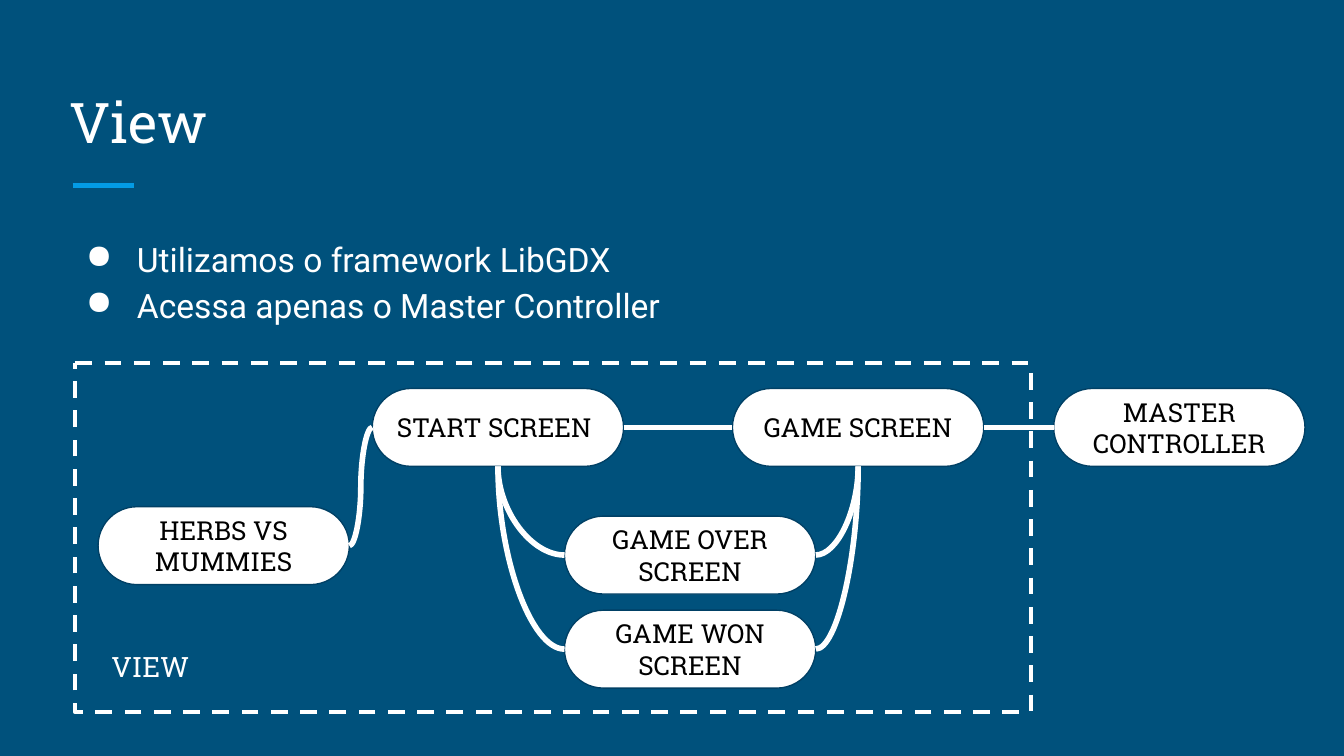
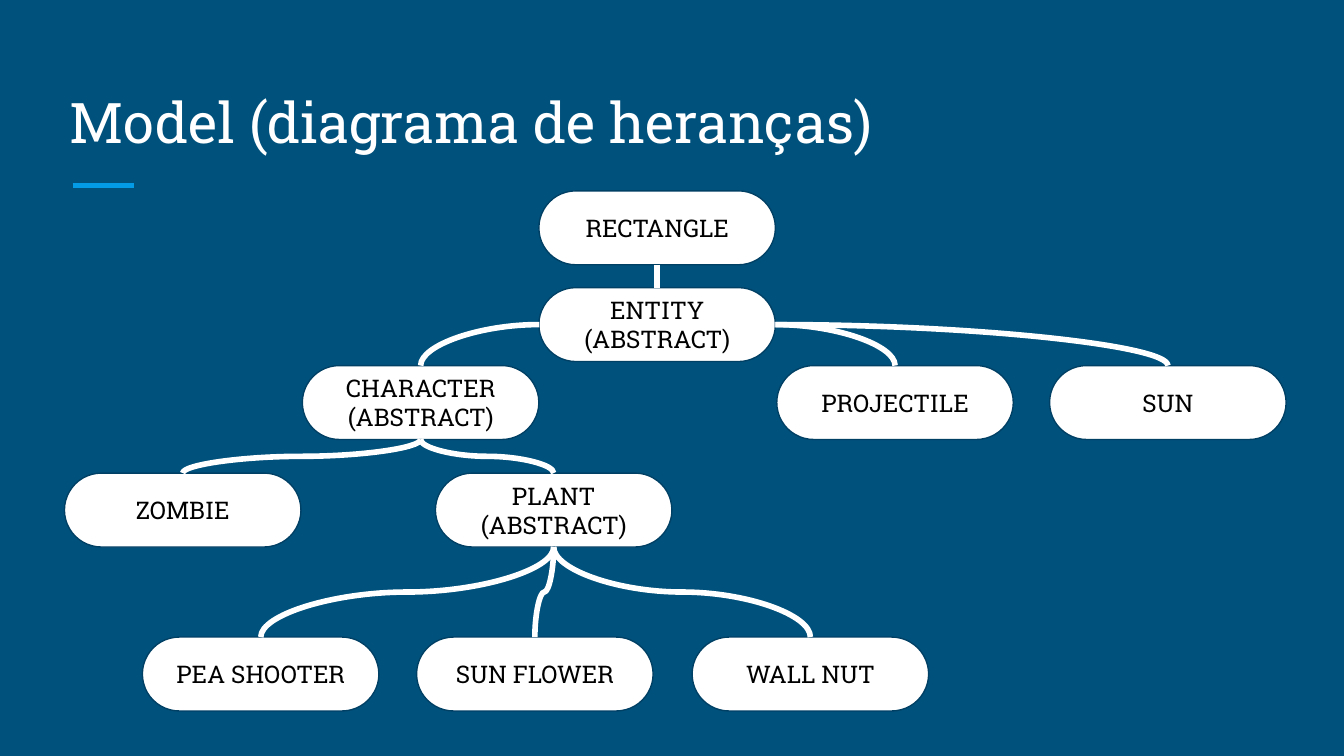
from dataclasses import dataclass

from lxml import etree
from pptx import Presentation
from pptx import util as u
from pptx.dml.color import RGBColor
from pptx.enum import dml, shapes, text
from pptx.oxml.ns import qn


@dataclass(frozen=True)
class Theme:
    background: str = "00517C"
    accent: str = "039BE5"
    light: str = "FFFFFF"
    dark: str = "000000"
    outline: str = "004065"
    heading_font: str = "Roboto Slab"
    body_font: str = "Roboto"
    title_size: int = 30
    body_size: int = 18
    label_size: int = 15
    stroke: float = 3
    frame_stroke: float = 2.25
    node_stroke: float = 0.75


THEME = Theme()
TOP, LEFT, BOTTOM, RIGHT = range(4)  # connection sites of a node

# Content: nodes are name -> (left, top); links are (from, side, to, side)
VIEW = {
    "title": "View",
    "bullets": ["Utilizamos o framework LibGDX", "Acessa apenas o Master Controller"],
    "frame": (0.56, 2.7, 7.11, 2.6),
    "frame_label": ("VIEW", (0.73, 4.73, 1.28, 0.45)),
    "node_size": (1.87, 0.58),
    "node_text": 14,
    "left_aligned": ["START SCREEN"],
    "nodes": {
        "HERBS VS MUMMIES": (0.73, 3.77),
        "GAME SCREEN": (5.45, 2.89),
        "START SCREEN": (2.77, 2.89),
        "GAME OVER SCREEN": (4.2, 3.84),
        "GAME WON SCREEN": (4.2, 4.54),
        "MASTER CONTROLLER": (7.84, 2.89),
    },
    "links": [
        ("HERBS VS MUMMIES", RIGHT, "START SCREEN", LEFT),
        ("START SCREEN", RIGHT, "GAME SCREEN", LEFT),
        ("GAME WON SCREEN", LEFT, "START SCREEN", BOTTOM),
        ("GAME OVER SCREEN", LEFT, "START SCREEN", BOTTOM),
        ("GAME SCREEN", BOTTOM, "GAME OVER SCREEN", RIGHT),
        ("GAME SCREEN", BOTTOM, "GAME WON SCREEN", RIGHT),
        ("GAME SCREEN", RIGHT, "MASTER CONTROLLER", LEFT),
    ],
}

MODEL = {
    "title": "Model (diagrama de heranças)",
    "node_size": (1.76, 0.55),
    "node_text": 13,
    "nodes": {
        "RECTANGLE": (4.01, 1.42),
        "ENTITY (ABSTRACT)": (4.01, 2.14),
        "CHARACTER (ABSTRACT)": (2.25, 2.72),
        "PLANT (ABSTRACT)": (3.24, 3.52),
        "ZOMBIE": (0.48, 3.52),
        "PROJECTILE": (5.78, 2.72),
        "SUN": (7.81, 2.72),
        "PEA SHOOTER": (1.06, 4.74),
        "SUN FLOWER": (3.1, 4.74),
        "WALL NUT": (5.15, 4.74),
    },
    "links": [
        ("CHARACTER (ABSTRACT)", TOP, "ENTITY (ABSTRACT)", LEFT),
        ("RECTANGLE", BOTTOM, "ENTITY (ABSTRACT)", TOP),
        ("PROJECTILE", TOP, "ENTITY (ABSTRACT)", RIGHT),
        ("SUN", TOP, "ENTITY (ABSTRACT)", RIGHT),
        ("WALL NUT", TOP, "PLANT (ABSTRACT)", BOTTOM),
        ("SUN FLOWER", TOP, "PLANT (ABSTRACT)", BOTTOM),
        ("PEA SHOOTER", TOP, "PLANT (ABSTRACT)", BOTTOM),
        ("ZOMBIE", TOP, "CHARACTER (ABSTRACT)", BOTTOM),
        ("PLANT (ABSTRACT)", TOP, "CHARACTER (ABSTRACT)", BOTTOM),
    ],
}


def rgb(color):
    return RGBColor.from_string(color)


def inches(values):
    return [u.Inches(value) for value in values]


def write(holder, *lines, size, color=THEME.light, font=THEME.heading_font,
          align=text.PP_ALIGN.LEFT, anchor=text.MSO_ANCHOR.TOP, spacing=None, bullet=None):
    """Fill a shape or text box with one paragraph per line."""
    frame = holder.text_frame
    frame.word_wrap = True
    frame.vertical_anchor = anchor
    frame.margin_left = frame.margin_right = u.Inches(0.1)
    frame.margin_top = frame.margin_bottom = u.Inches(0.1)
    for index, line in enumerate(lines):
        paragraph = frame.add_paragraph() if index else frame.paragraphs[0]
        paragraph.alignment = align
        paragraph.line_spacing = spacing
        run = paragraph.add_run()
        run.text = line
        run.font.size = u.Pt(size)
        run.font.name = font
        run.font.color.rgb = rgb(color)
        if bullet:
            props = paragraph._p.get_or_add_pPr()
            props.set("marL", str(u.Inches(0.5)))
            props.set("indent", str(u.Inches(-0.38)))
            tint = etree.SubElement(props, qn("a:buClr"))
            etree.SubElement(tint, qn("a:srgbClr"), val=color)
            etree.SubElement(props, qn("a:buChar"), char=bullet)


def stroke(connector, color):
    connector.line.color.rgb = rgb(color)
    connector.line.width = u.Pt(THEME.stroke)
    etree.SubElement(connector._element.spPr, qn("a:effectLst"))


def add_node(slide, name, place, size, text_size, align):
    node = slide.shapes.add_shape(
        shapes.MSO_SHAPE.ROUNDED_RECTANGLE, *inches(place + size))
    node.adjustments[0] = 0.5
    node.shadow.inherit = False
    node.fill.solid()
    node.fill.fore_color.rgb = rgb(THEME.light)
    node.line.color.rgb = rgb(THEME.outline)
    node.line.width = u.Pt(THEME.node_stroke)
    write(node, name, size=text_size, color=THEME.dark, align=align,
          anchor=text.MSO_ANCHOR.MIDDLE)
    return node


def add_link(slide, start, start_side, end, end_side):
    """Join two nodes by a curve that leaves each side at a right angle."""
    link = slide.shapes.add_connector(shapes.MSO_CONNECTOR.CURVE, 0, 0, 0, 0)
    link.begin_connect(start, start_side)
    link.end_connect(end, end_side)
    stroke(link, THEME.light)

    dx, dy = link.end_x - link.begin_x, link.end_y - link.begin_y
    middle_x = (link.begin_x + link.end_x) // 2
    middle_y = (link.begin_y + link.end_y) // 2
    # The preset leaves sideways; a quarter turn makes it leave vertically.
    upright = start_side in (TOP, BOTTOM)
    along, across = (dy, -dx) if upright else (dx, dy)
    turn = 90 if upright else 0
    mirrored = along < 0
    if across < 0:  # a vertical flip equals a half turn plus a horizontal flip
        turn, mirrored = turn + 180, not mirrored

    link.width, link.height = abs(along), abs(across)
    link.left, link.top = middle_x - abs(along) // 2, middle_y - abs(across) // 2
    props = link._element.spPr
    xfrm = props.find(qn("a:xfrm"))
    xfrm.attrib.clear()
    if turn:
        xfrm.set("rot", str(turn * 60000))
    if mirrored:
        xfrm.set("flipH", "1")
    if start_side % 2 != end_side % 2:
        props.find(qn("a:prstGeom")).set("prst", "curvedConnector2")


def add_slide(prs, content):
    slide = prs.slides.add_slide(prs.slide_layouts[6])

    # Title with its accent bar
    bar = slide.shapes.add_connector(
        shapes.MSO_CONNECTOR.STRAIGHT, *inches((0.54, 1.38, 1, 1.38)))
    stroke(bar, THEME.accent)
    title = slide.shapes.add_textbox(*inches((0.42, 0.5, 9.15, 0.75)))
    write(title, content["title"], size=THEME.title_size, anchor=text.MSO_ANCHOR.BOTTOM)

    if "bullets" in content:
        body = slide.shapes.add_textbox(*inches((0.42, 1.63, 9.15, 0.88)))
        write(body, *content["bullets"], size=THEME.body_size, font=THEME.body_font,
              spacing=1.15, bullet="●")

    # Diagram
    nodes = {}
    for name, place in content["nodes"].items():
        flush = name in content.get("left_aligned", [])
        align = text.PP_ALIGN.LEFT if flush else text.PP_ALIGN.CENTER
        nodes[name] = add_node(slide, name, place, content["node_size"],
                               content["node_text"], align)
    for start, start_side, end, end_side in content["links"]:
        add_link(slide, nodes[start], start_side, nodes[end], end_side)

    # Dashed boundary and its label
    if "frame" in content:
        boundary = slide.shapes.add_shape(
            shapes.MSO_SHAPE.FLOWCHART_PROCESS, *inches(content["frame"]))
        boundary.shadow.inherit = False
        boundary.fill.background()
        boundary.line.color.rgb = rgb(THEME.light)
        boundary.line.width = u.Pt(THEME.frame_stroke)
        boundary.line.dash_style = dml.MSO_LINE.DASH
        caption, place = content["frame_label"]
        write(slide.shapes.add_textbox(*inches(place)), caption, size=THEME.label_size)


def main():
    prs = Presentation()
    prs.slide_width = u.Inches(10)
    prs.slide_height = prs.slide_width * 9 // 16
    backdrop = prs.slide_master.background.fill
    backdrop.solid()
    backdrop.fore_color.rgb = rgb(THEME.background)
    for content in (VIEW, MODEL):
        add_slide(prs, content)
    prs.save("out.pptx")


if __name__ == "__main__":
    main()
